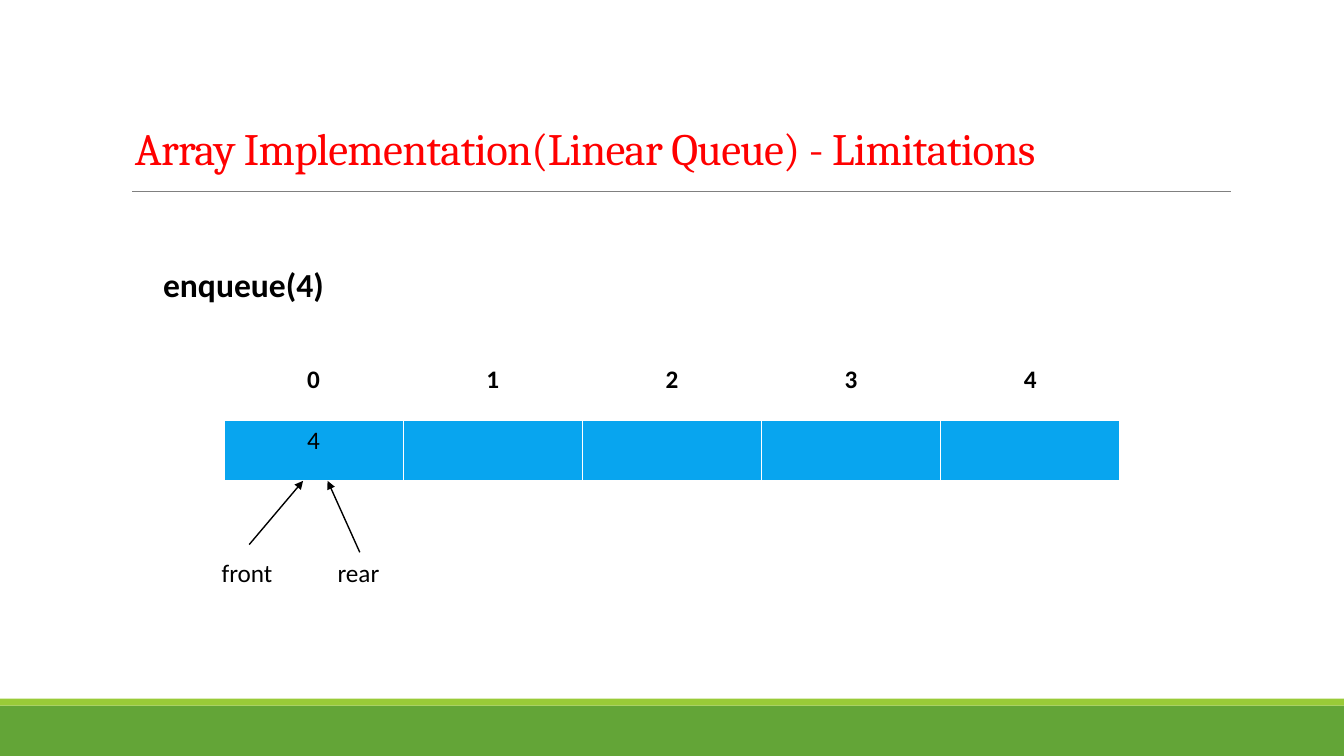
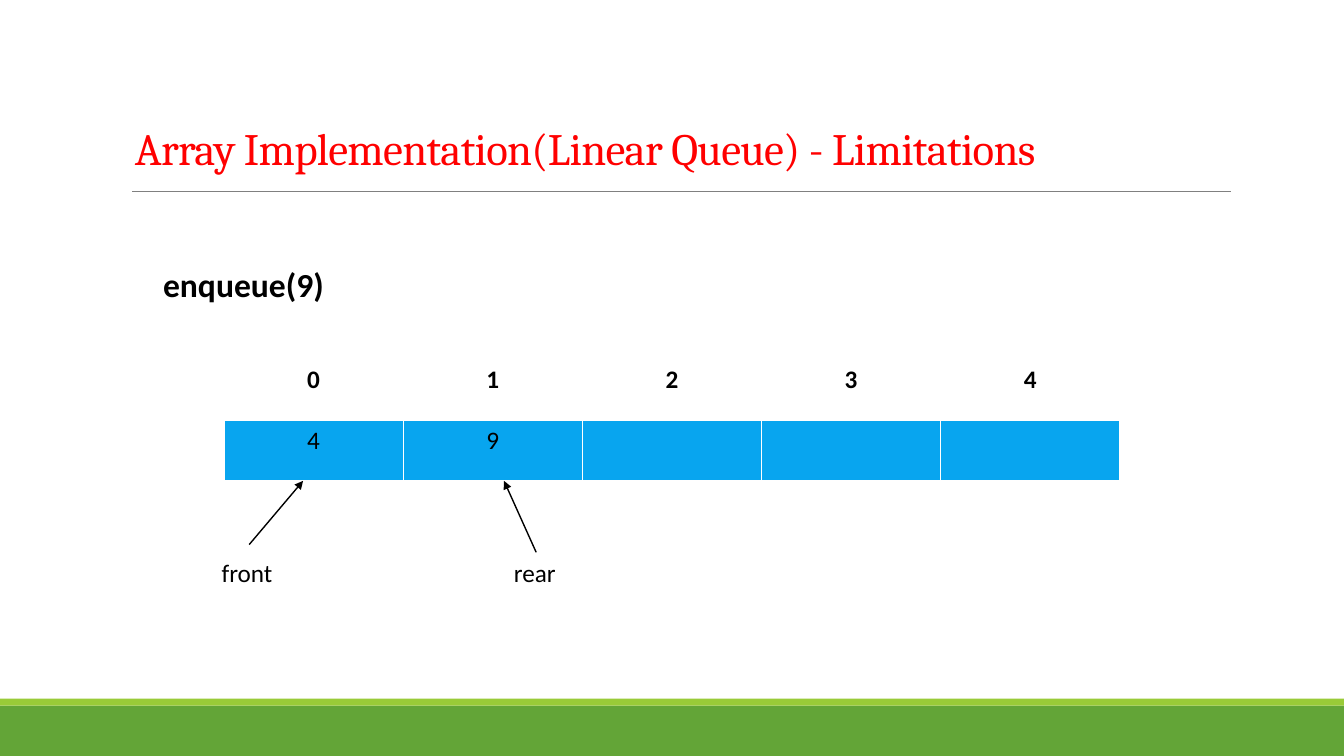
from lxml.etree import SubElement
from pptx import Presentation
from pptx.dml.color import RGBColor
from pptx.enum.shapes import MSO_CONNECTOR, MSO_SHAPE
from pptx.enum.text import MSO_ANCHOR, MSO_AUTO_SIZE, PP_ALIGN
from pptx.oxml.ns import qn
from pptx.util import Pt

GREEN = RGBColor(0x63, 0xA5, 0x37)
LIME = RGBColor(0x99, 0xCB, 0x38)
GRAY = RGBColor(0x80, 0x80, 0x80)
RED = RGBColor(0xFF, 0x00, 0x00)
BLUE = RGBColor(0x08, 0xA5, 0xEF)
BLACK = RGBColor(0x00, 0x00, 0x00)

WIDTH, HEIGHT = 960, 540
SIZE = 5  # cells in the queue
CELL = 128
ROW = 43.2
STEP = 126  # shift of the rear pointer per item
BANDS = [(504, 36, GREEN), (499, 5, LIME)]
QUEUES = [[4], [4, 9]]


def add_text(slide, text, left, top, width, height, size, bold=False, face="Calibri", color=BLACK):
    box = slide.shapes.add_textbox(Pt(left), Pt(top), Pt(width), Pt(height))
    frame = box.text_frame
    frame.word_wrap = False
    frame.auto_size = MSO_AUTO_SIZE.SHAPE_TO_FIT_TEXT
    para = frame.paragraphs[0]
    para.text = text
    font = para.font
    font.name, font.size, font.bold = face, Pt(size), bold
    font.color.rgb = color
    return frame


def add_line(slide, start, end, color, weight, arrow=False):
    line = slide.shapes.add_connector(MSO_CONNECTOR.STRAIGHT, *map(Pt, start + end))
    line.line.color.rgb = color
    line.line.width = Pt(weight)
    if arrow:
        SubElement(line.line._get_or_add_ln(), qn("a:tailEnd"), type="triangle")
    SubElement(line._element.spPr, qn("a:effectLst"))


prs = Presentation()
prs.slide_width, prs.slide_height = Pt(WIDTH), Pt(HEIGHT)

for queue in QUEUES:
    slide = prs.slides.add_slide(prs.slide_layouts[6])

    for top, height, color in BANDS:
        band = slide.shapes.add_shape(MSO_SHAPE.RECTANGLE, 0, Pt(top), Pt(WIDTH), Pt(height))
        band.shadow.inherit = False
        band.fill.solid()
        band.fill.fore_color.rgb = color
        band.line.fill.background()
    add_line(slide, (94.5, 136.8), (879, 136.8), GRAY, 0.5)

    title = add_text(slide, "Array Implementation(Linear Queue) - Limitations",
                     89.3, 13.7, 825, 114.5, 32, face="Cambria", color=RED)
    title.word_wrap = True
    title.auto_size = MSO_AUTO_SIZE.NONE
    title.vertical_anchor = MSO_ANCHOR.BOTTOM
    para = title.paragraphs[0]
    para.line_spacing = 0.85
    para.runs[0]._r.get_or_add_rPr().set("spc", "-50")

    table = slide.shapes.add_table(2, SIZE, Pt(160), Pt(257), Pt(SIZE * CELL), Pt(2 * ROW)).table
    table.horz_banding = False
    for col in range(SIZE):
        value = queue[col] if col < len(queue) else ""
        for row, text in enumerate((col, value)):
            cell = table.cell(row, col)
            if row == 0:
                cell.fill.background()
            else:
                cell.fill.solid()
                cell.fill.fore_color.rgb = BLUE
            para = cell.text_frame.paragraphs[0]
            para.text = str(text)
            para.alignment = PP_ALIGN.CENTER
            font = para.font
            font.name, font.size, font.bold = "Calibri", Pt(18), row == 0
            font.color.rgb = BLACK

    shift = STEP * (len(queue) - 1)
    add_text(slide, "rear", 234 + shift, 394.5, 44.6, 29, 18)
    add_text(slide, "front", 151.2, 394.5, 51, 29, 18)
    add_line(slide, (178, 389), (216.5, 343.5), BLACK, 1, arrow=True)
    add_line(slide, (257 + shift, 394.5), (234 + shift, 343.5), BLACK, 1, arrow=True)
    add_text(slide, f"enqueue({queue[-1]})", 109.4, 185, 130.3, 36, 24, bold=True)

prs.save("out.pptx")
